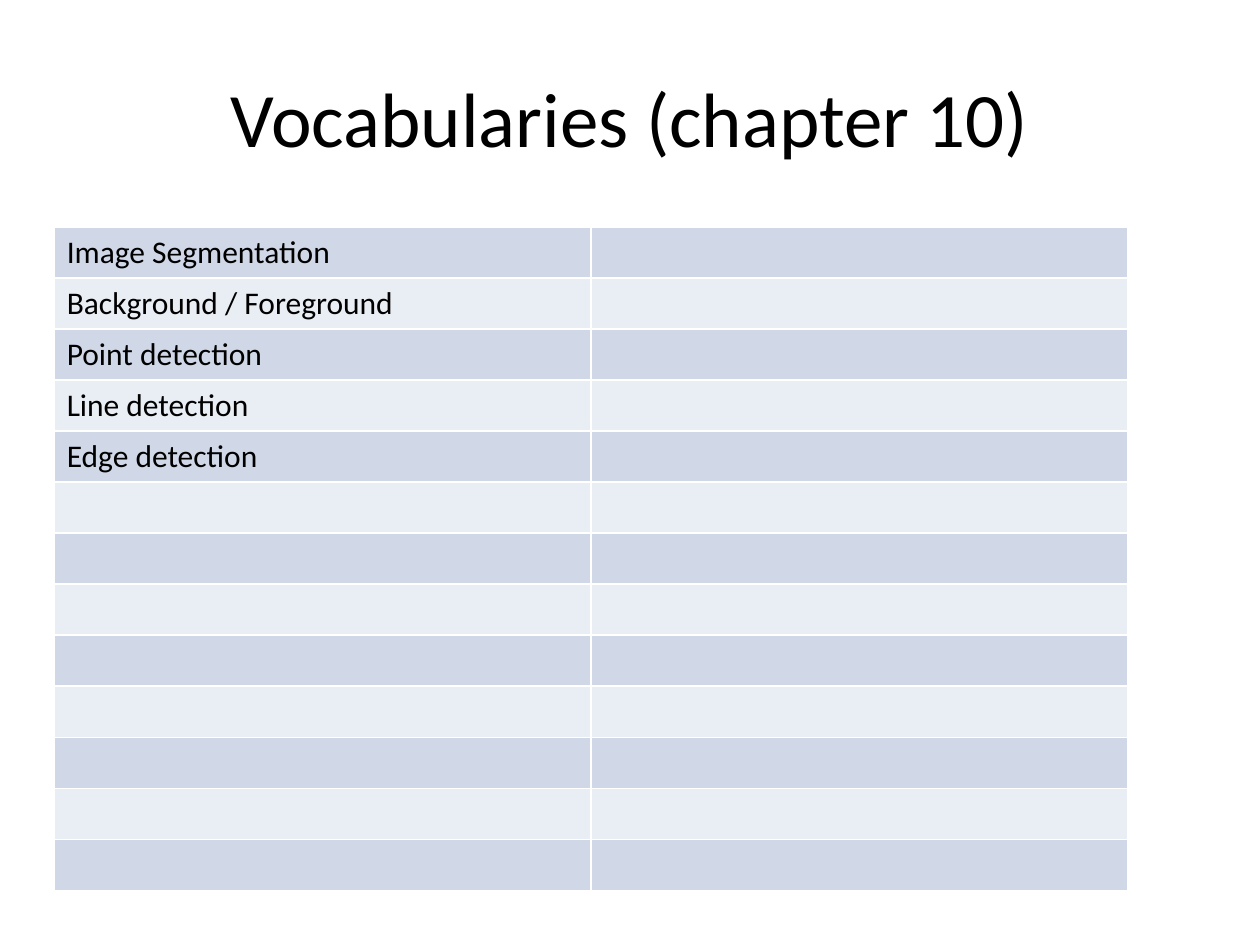
from dataclasses import dataclass

from pptx import Presentation
from pptx.dml.color import RGBColor
from pptx.enum import text
from pptx.util import Inches, Pt

TITLE = "Vocabularies (chapter 10)"
TERMS = [
    "Image Segmentation",
    "Background / Foreground",
    "Point detection",
    "Line detection",
    "Edge detection",
]
ROWS, COLS = 13, 2
LEFT, TOP, WIDTH, HEIGHT = 0.43, 1.8, 8.52, 5.27


@dataclass(frozen=True)
class Theme:
    font: str = "Calibri"
    ink: str = "000000"
    bands: tuple = ("D0D8E8", "E9EDF4")
    title_size: int = 44
    body_size: int = 18


THEME = Theme()


def write(tf, content, size=THEME.body_size, align=text.PP_ALIGN.LEFT):
    p = tf.paragraphs[0]
    p.alignment = align
    p.font.size = Pt(size)
    if content:
        r = p.add_run()
        r.text = content
        r.font.name = THEME.font
        r.font.size = Pt(size)
        r.font.color.rgb = RGBColor.from_string(THEME.ink)


def add_title(s):
    tf = s.shapes.add_textbox(Inches(0.5), Inches(0.3), Inches(9), Inches(1.25)).text_frame
    tf.word_wrap = True
    tf.vertical_anchor = text.MSO_ANCHOR.MIDDLE
    write(tf, TITLE, size=THEME.title_size, align=text.PP_ALIGN.CENTER)


def add_vocabulary(s):
    table = s.shapes.add_table(
        ROWS, COLS, Inches(LEFT), Inches(TOP), Inches(WIDTH), Inches(HEIGHT)
    ).table
    table.first_row = False
    for i, row in enumerate(table.rows):
        row.height = Inches(HEIGHT / ROWS)
        term = TERMS[i] if i < len(TERMS) else ""
        for cell, content in zip(row.cells, (term, "")):
            cell.fill.solid()
            cell.fill.fore_color.rgb = RGBColor.from_string(THEME.bands[i % 2])
            write(cell.text_frame, content)


def main():
    prs = Presentation()
    prs.slide_width, prs.slide_height = Inches(10), Inches(7.5)
    s = prs.slides.add_slide(prs.slide_layouts[6])
    add_title(s)
    add_vocabulary(s)
    prs.save("out.pptx")


if __name__ == "__main__":
    main()
